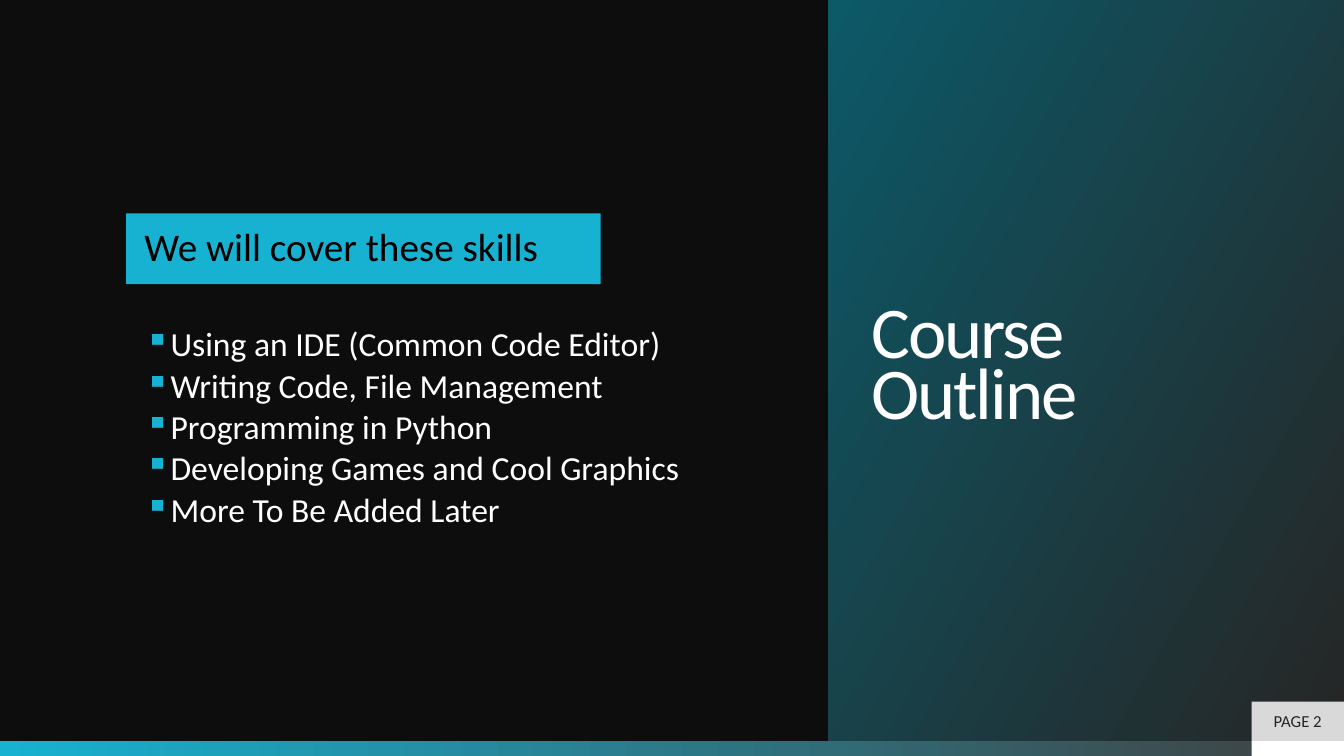
import lxml.etree
import pptx
import pptx.dml.color
import pptx.enum.shapes
import pptx.enum.text
import pptx.oxml.ns
import pptx.util

Cm = pptx.util.Cm
RGBColor = pptx.dml.color.RGBColor
Align = pptx.enum.text.PP_ALIGN
Anchor = pptx.enum.text.MSO_ANCHOR

BLACK = RGBColor(0x00, 0x00, 0x00)
NIGHT = RGBColor(0x0D, 0x0D, 0x0D)
CHARCOAL = RGBColor(0x26, 0x26, 0x26)
GRAY = RGBColor(0x40, 0x40, 0x40)
SILVER = RGBColor(0xD9, 0xD9, 0xD9)
WHITE = RGBColor(0xFF, 0xFF, 0xFF)
CYAN = RGBColor(0x17, 0xB2, 0xD1)
TEAL = RGBColor(0x0C, 0x59, 0x68)

SLIDE_WIDTH, SLIDE_HEIGHT = 33.87, 19.05
BAR_TOP = 18.67
BAR_HEIGHT = SLIDE_HEIGHT - BAR_TOP
TAG_LEFT, TAG_TOP = 31.54, 17.68
TAG_WIDTH = SLIDE_WIDTH - TAG_LEFT
PANEL_LEFT = 20.87

SKILLS = [
    "Using an IDE (Common Code Editor)",
    "Writing Code, File Management",
    "Programming in Python",
    "Developing Games and Cool Graphics",
    "More To Be Added Later",
]


def set_all(target, values):
    for name, value in values.items():
        setattr(target, name, value)


def fill_gradient(fill, angle, stops):
    """Fill with two (position, colour) stops; angle runs counter-clockwise."""
    fill.gradient()
    fill.gradient_angle = angle
    for stop, (position, color) in zip(fill.gradient_stops, stops):
        stop.position = position
        stop.color.rgb = color


def add_block(slide, left, top, width, height, color=None):
    block = slide.shapes.add_shape(
        pptx.enum.shapes.MSO_SHAPE.RECTANGLE,
        Cm(left), Cm(top), Cm(width), Cm(height))
    block.shadow.inherit = False
    block.line.fill.background()
    if color is not None:
        block.fill.solid()
        block.fill.fore_color.rgb = color
    return block


def write(frame, lines, size, color, anchor, insets, spacing=1.0, align=Align.LEFT):
    """Write one paragraph per line; insets are left, top, right, bottom in cm."""
    left, top, right, bottom = map(Cm, insets)
    set_all(frame, {
        "text": "\n".join(lines), "word_wrap": True,
        "auto_size": pptx.enum.text.MSO_AUTO_SIZE.NONE,
        "vertical_anchor": anchor,
        "margin_left": left, "margin_top": top,
        "margin_right": right, "margin_bottom": bottom})
    for paragraph in frame.paragraphs:
        set_all(paragraph, {"alignment": align, "line_spacing": spacing})
        for run in paragraph.runs:
            set_all(run.font, {"name": "Calibri", "size": pptx.util.Pt(size),
                               "bold": False})
            run.font.color.rgb = color


def add_bullet(paragraph):
    """Give a second-level paragraph a cyan square and 15% space after."""
    paragraph.level = 1
    properties = paragraph._p.get_or_add_pPr()
    properties.set("marL", str(Cm(0.64)))
    properties.set("indent", str(-Cm(0.64)))
    qn = pptx.oxml.ns.qn
    after = lxml.etree.SubElement(properties, qn("a:spcAft"))
    lxml.etree.SubElement(after, qn("a:spcPct"), val="15000")
    bullet_color = lxml.etree.SubElement(properties, qn("a:buClr"))
    lxml.etree.SubElement(bullet_color, qn("a:srgbClr"), val=str(CYAN))
    lxml.etree.SubElement(properties, qn("a:buChar"), char="▪")


def add_footer(slide):
    bar = add_block(slide, 0, BAR_TOP, SLIDE_WIDTH, BAR_HEIGHT)
    fill_gradient(bar.fill, 0, [(0, CYAN), (1, GRAY)])
    add_block(slide, TAG_LEFT, BAR_TOP, TAG_WIDTH, BAR_HEIGHT, WHITE)
    page_tag = add_block(slide, TAG_LEFT, TAG_TOP, TAG_WIDTH, BAR_TOP - TAG_TOP, SILVER)
    write(page_tag.text_frame, ["PAGE 2"], 12, CHARCOAL, Anchor.MIDDLE,
          (0.25, 0.13, 0.25, 0.13), align=Align.CENTER)


def format_title(title):
    set_all(title, {"left": Cm(PANEL_LEFT), "top": Cm(0),
                    "width": Cm(SLIDE_WIDTH - PANEL_LEFT), "height": Cm(BAR_TOP)})
    fill_gradient(title.fill, 150, [(0.01, CHARCOAL), (1, TEAL)])
    write(title.text_frame, ["Course\vOutline"], 52, WHITE, Anchor.MIDDLE,
          (1.09, 0.13, 1.09, 0.13), spacing=0.7)
    for run in title.text_frame.paragraphs[0].runs:
        run.font._element.set("spc", "-150")


def add_skills(slide):
    skills = slide.shapes.add_textbox(Cm(2.34), Cm(4.5), Cm(17.09), Cm(9.68))
    write(skills.text_frame, SKILLS, 24, WHITE, Anchor.TOP,
          (1.32, 3.76, 1.32, 0.48), spacing=0.9)
    for paragraph in skills.text_frame.paragraphs:
        add_bullet(paragraph)
    heading = add_block(slide, 3.18, 5.38, 11.96, 1.78, CYAN)
    write(heading.text_frame, ["We will cover these skills"], 28, BLACK,
          Anchor.MIDDLE, (0.46, 0, 0.46, 0), spacing=0.9)


def main():
    presentation = pptx.Presentation()
    set_all(presentation, {"slide_width": Cm(SLIDE_WIDTH),
                           "slide_height": Cm(SLIDE_HEIGHT)})
    slide = presentation.slides.add_slide(
        presentation.slide_layouts.get_by_name("Title Only"))
    slide.background.fill.solid()
    slide.background.fill.fore_color.rgb = NIGHT
    format_title(slide.shapes.title)
    add_footer(slide)
    add_skills(slide)
    presentation.save("out.pptx")


if __name__ == "__main__":
    main()
